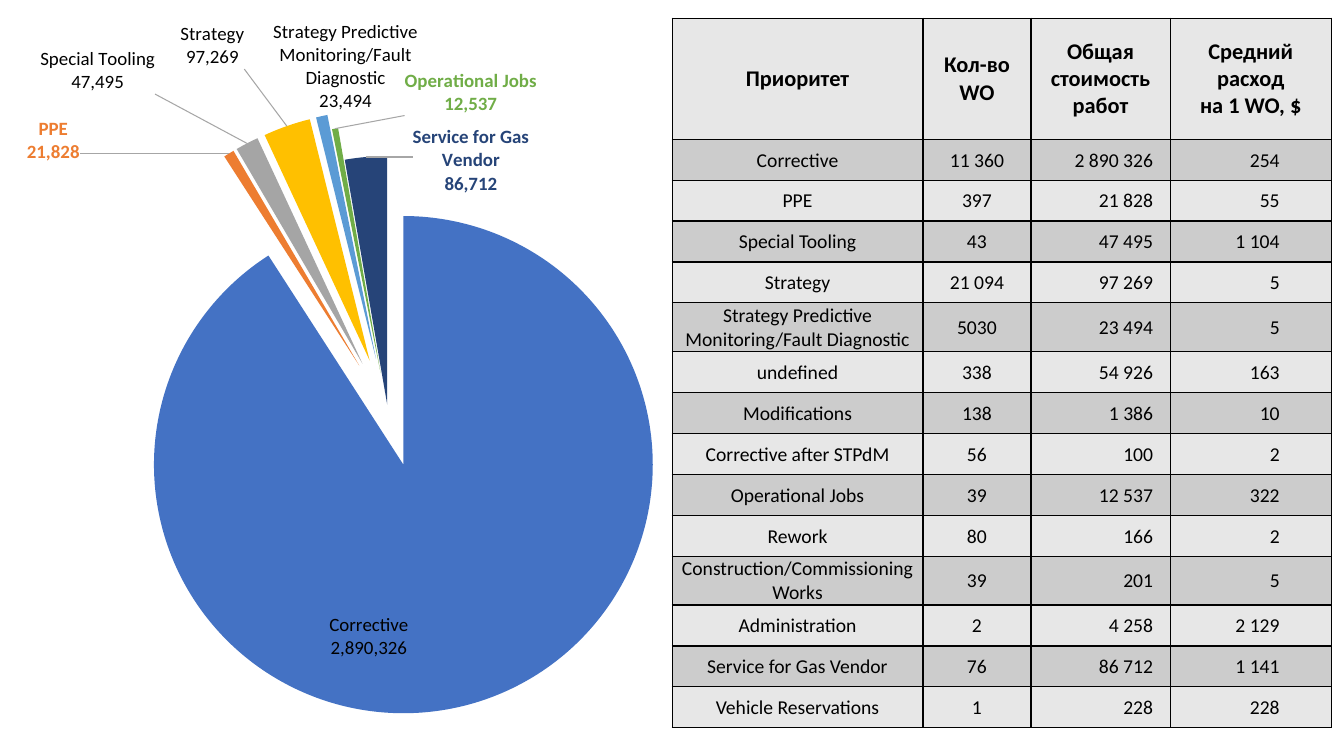
"""Build a slide with a pie of work order costs by priority and its table."""
from pptx import Presentation
from pptx.chart.data import CategoryChartData
from pptx.dml.color import RGBColor
from pptx.enum.chart import XL_CHART_TYPE, XL_LABEL_POSITION
from pptx.enum.text import MSO_ANCHOR, PP_ALIGN
from pptx.oxml import parse_xml
from pptx.oxml.ns import nsdecls
from pptx.util import Cm, Pt

PIE = XL_CHART_TYPE.PIE
OUTSIDE = XL_LABEL_POSITION.OUTSIDE_END
MIDDLE = MSO_ANCHOR.MIDDLE
CENTER, RIGHT = PP_ALIGN.CENTER, PP_ALIGN.RIGHT
FONT = "Calibri"
BLACK = "000000"
LEADER_GRAY = "A6A6A6"
EXPLOSION = 22


def rgb(hex_code):
    return RGBColor.from_string(hex_code)


def manual_layout(inner):
    return parse_xml(f'<c:layout {nsdecls("c")}><c:manualLayout>{inner}</c:manualLayout></c:layout>')


prs = Presentation()
prs.slide_width, prs.slide_height = Cm(33.87), Cm(19.05)
slide = prs.slides.add_slide(prs.slide_layouts[6])

headings = ["Приоритет", "Кол-во WO", "Общая стоимость работ", "Средний расход\nна 1 WO, $"]
priorities = [
    ("Corrective", "11 360", "2 890 326", "254"),
    ("PPE", "397", "21 828", "55"),
    ("Special Tooling", "43", "47 495", "1 104"),
    ("Strategy", "21 094", "97 269", "5"),
    ("Strategy Predictive Monitoring/Fault Diagnostic", "5030", "23 494", "5"),
    ("undefined", "338", "54 926", "163"),
    ("Modifications", "138", "1 386", "10"),
    ("Corrective after STPdM", "56", "100", "2"),
    ("Operational Jobs", "39", "12 537", "322"),
    ("Rework", "80", "166", "2"),
    ("Construction/Commissioning Works", "39", "201", "5"),
    ("Administration", "2", "4 258", "2 129"),
    ("Service for Gas Vendor", "76", "86 712", "1 141"),
    ("Vehicle Reservations", "1", "228", "228"),
]
column_widths = [6.32, 2.72, 3.51, 4.06]
right_margins = [0.03, 0.03, 0.43, 1.3]
alignments = [CENTER, CENTER, RIGHT, RIGHT]

cost_table = slide.shapes.add_table(
    len(priorities) + 1, 4, Cm(16.94), Cm(0.46), Cm(16.61), Cm(17.47)).table
for column, width in zip(cost_table.columns, column_widths):
    column.width = Cm(width)

for r, values in enumerate([headings] + priorities):
    is_heading = r == 0
    cost_table.rows[r].height = Cm(3.05 if is_heading else 1.03)
    for c, value in enumerate(values):
        cell = cost_table.cell(r, c)
        cell.fill.solid()
        cell.fill.fore_color.rgb = rgb("CCCCCC" if r % 2 else "E7E7E7")
        cell.vertical_anchor = MIDDLE
        if not is_heading:
            cell.margin_left = cell.margin_top = Cm(0.03)
            cell.margin_bottom = 0
            cell.margin_right = Cm(right_margins[c])
        for i, line in enumerate(value.split("\n")):
            frame = cell.text_frame
            paragraph = frame.add_paragraph() if i else frame.paragraphs[0]
            paragraph.alignment = CENTER if is_heading else alignments[c]
            run = paragraph.add_run()
            run.text = line
            run.font.name = FONT
            run.font.size = Pt(16 if is_heading else 14)
            run.font.bold = is_heading
            run.font.color.rgb = rgb(BLACK)
        for i, side in enumerate(["lnL", "lnR", "lnT", "lnB"]):
            cell._tc.get_or_add_tcPr().insert(i, parse_xml(
                f'<a:{side} {nsdecls("a")} w="12700"><a:solidFill><a:srgbClr val="{BLACK}"/>'
                f'</a:solidFill></a:{side}>'))

slices = [
    ("Corrective", 2890326, "4472C4", EXPLOSION, -0.18, -0.13, BLACK),
    ("PPE", 21828, "ED7D31", EXPLOSION, -0.18, 0.02, "ED7D31"),
    ("Special Tooling", 47495, "A5A5A5", EXPLOSION, -0.11, -0.06, BLACK),
    ("Strategy", 97269, "FFC000", EXPLOSION, -0.05, -0.07, BLACK),
    ("Strategy Predictive Monitoring/Fault Diagnostic", 23494, "5B9BD5", EXPLOSION, 0.12, 0, BLACK),
    ("Operational Jobs", 12537, "70AD47", 16, 0.25, -0.01, "70AD47"),
    ("Service for Gas Vendor", 86712, "264478", 3, 0.13, 0.06, "264478"),
]
cost_data = CategoryChartData(number_format="#,##0")
cost_data.categories = [entry[0] for entry in slices]
cost_data.add_series("Series 1", [entry[1] for entry in slices])
pie = slide.shapes.add_chart(PIE, Cm(0.36), Cm(0.46), Cm(20.45), Cm(18.59), cost_data).chart
pie.has_legend = False
pie.has_title = False
pie.font.name, pie.font.size = FONT, Pt(13.5)
pie.font.color.rgb = rgb(BLACK)

plot_area = pie._chartSpace.chart.plotArea
for automatic in plot_area.xpath("./c:layout"):
    plot_area.remove(automatic)
plot_area.insert(0, manual_layout(
    '<c:layoutTarget val="inner"/><c:xMode val="edge"/><c:yMode val="edge"/>'
    '<c:x val="0.085"/><c:y val="0.12"/><c:w val="0.751"/><c:h val="0.825"/>'))

plot = pie.plots[0]
plot.vary_by_categories = True
costs = plot.series[0]
labels = costs.data_labels
labels.show_value = labels.show_category_name = True
labels.number_format, labels.number_format_is_linked = "#,##0", False
labels.position = OUTSIDE
labels.font.name, labels.font.size = FONT, Pt(13.5)
labels.font.color.rgb = rgb(LEADER_GRAY)
for leader in labels._element.xpath("./c:showLeaderLines"):
    leader.set("val", "1")
    leader.addnext(parse_xml(
        f'<c:leaderLines {nsdecls("c", "a")}><c:spPr><a:ln w="9525"><a:solidFill>'
        f'<a:srgbClr val="{LEADER_GRAY}"/></a:solidFill></a:ln></c:spPr></c:leaderLines>'))

for i, (name, cost, color, explosion, dx, dy, label_color) in enumerate(slices):
    point = costs.points[i]
    point.format.fill.solid()
    point.format.fill.fore_color.rgb = rgb(color)
    point.format.line.fill.background()
    slice_properties = costs._element.xpath(f"./c:dPt[c:idx/@val='{i}']/c:spPr")[0]
    slice_properties.addprevious(parse_xml(f'<c:explosion {nsdecls("c")} val="{explosion}"/>'))

    label = point.data_label
    label.font.name, label.font.size = FONT, Pt(13.5)
    label.font.bold = label_color != BLACK
    label.font.color.rgb = rgb(label_color)
    label.position = OUTSIDE
    label_xml = labels._element.xpath(f"./c:dLbl[c:idx/@val='{i}']")[0]
    label_xml.insert(1, manual_layout(f'<c:x val="{dx}"/><c:y val="{dy}"/>'))
    label_xml.xpath("./c:txPr/a:bodyPr")[0].set("wrap", "square")
    label_xml.xpath("./c:showCatName")[0].set("val", "1")
    label_xml.append(parse_xml(f'<c:separator {nsdecls("c")}>\n</c:separator>'))

first_slice = costs._element.xpath("./c:dPt")[0]
first_slice.addprevious(parse_xml(f'<c:explosion {nsdecls("c")} val="{EXPLOSION}"/>'))

prs.save("out.pptx")
